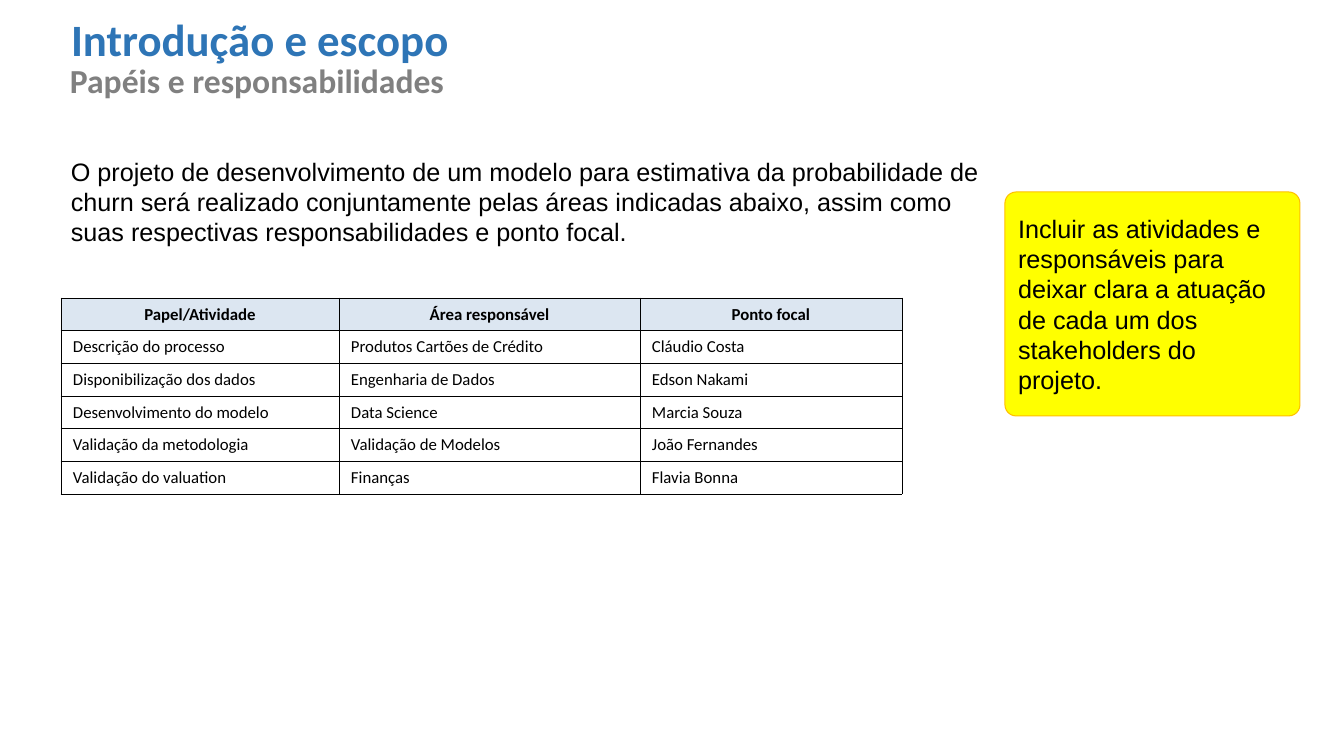
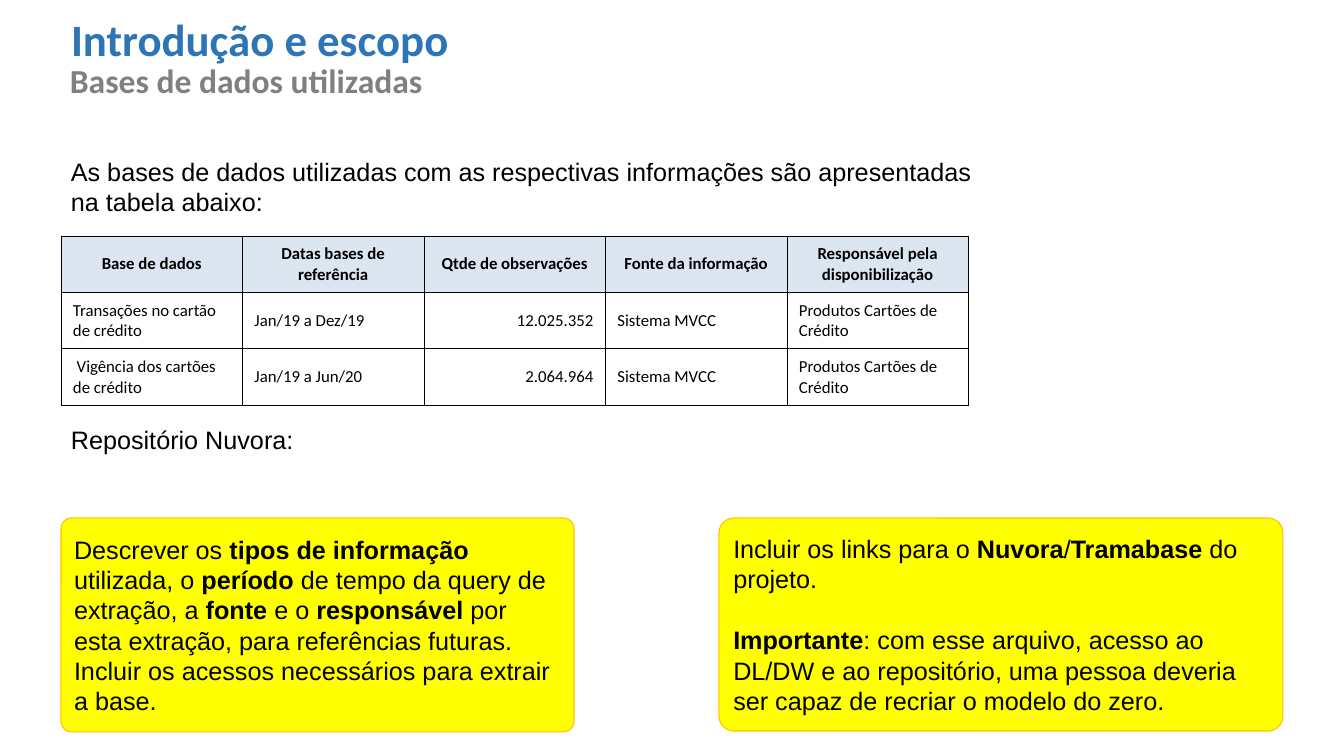
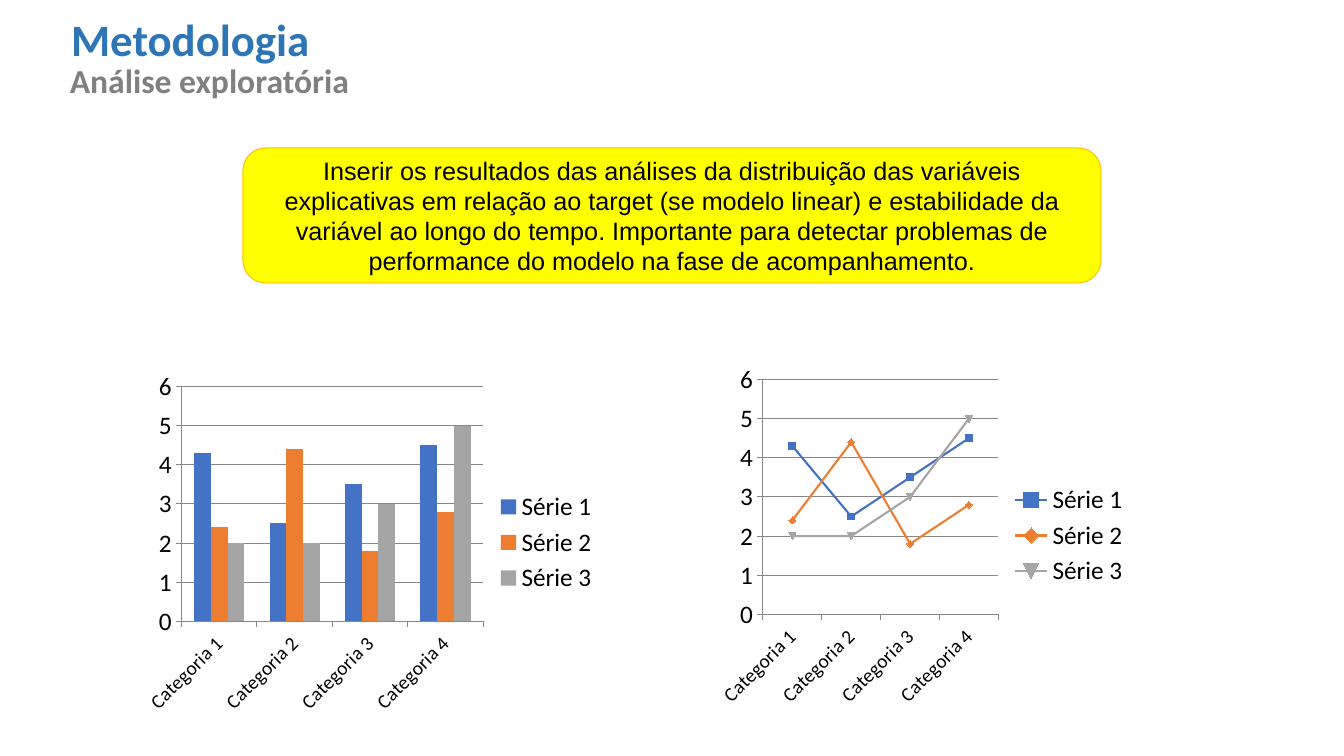
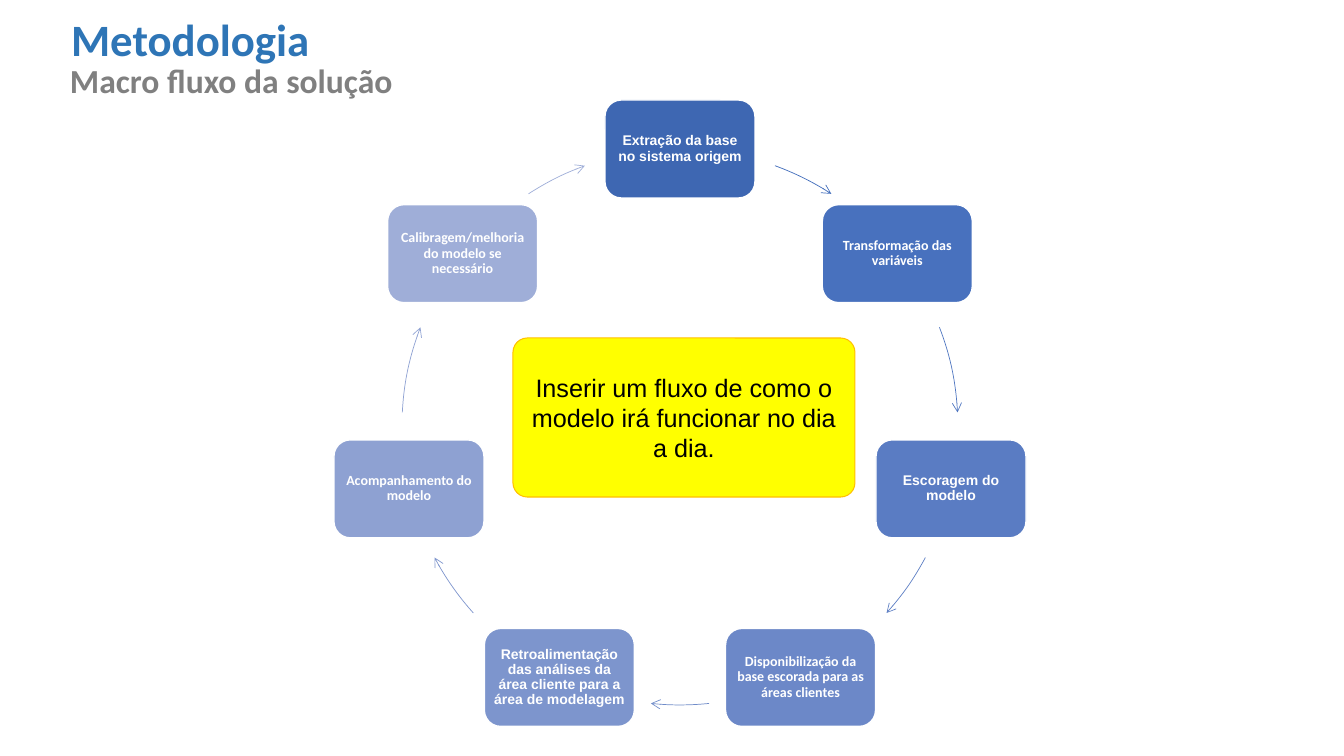
from math import cos, radians, sin

from lxml import etree
from pptx import Presentation
from pptx.chart.data import CategoryChartData
from pptx.dml.color import RGBColor
from pptx.enum.chart import XL_CHART_TYPE, XL_LEGEND_POSITION
from pptx.enum.shapes import MSO_SHAPE
from pptx.enum.text import MSO_ANCHOR, MSO_AUTO_SIZE, PP_ALIGN
from pptx.oxml import parse_xml
from pptx.oxml.ns import nsdecls, qn
from pptx.util import Pt

SCALE = 914400 / 100.8
LEFT, CENTER, RIGHT = PP_ALIGN.LEFT, PP_ALIGN.CENTER, PP_ALIGN.RIGHT
TOP, MIDDLE = MSO_ANCHOR.TOP, MSO_ANCHOR.MIDDLE
ROUNDED, ARC = MSO_SHAPE.ROUNDED_RECTANGLE, MSO_SHAPE.ARC
COLUMNS, LINES = XL_CHART_TYPE.COLUMN_CLUSTERED, XL_CHART_TYPE.LINE_MARKERS

BLACK = RGBColor(0x00, 0x00, 0x00)
WHITE = RGBColor(0xFF, 0xFF, 0xFF)
TITLE_BLUE = RGBColor(0x2E, 0x75, 0xB6)
SUBTITLE_GRAY = RGBColor(0x80, 0x80, 0x80)
HEADER_FILL = RGBColor(0xDC, 0xE6, 0xF1)
YELLOW = RGBColor(0xFF, 0xFF, 0x00)
AMBER = RGBColor(0xFF, 0xC0, 0x00)
AXIS_GRAY = RGBColor(0x87, 0x87, 0x87)
SERIES_COLORS = [
    RGBColor(0x44, 0x72, 0xC4),
    RGBColor(0xED, 0x7D, 0x31),
    RGBColor(0xA5, 0xA5, 0xA5),
]


def px(*lengths):
    return [round(length * SCALE) for length in lengths]


def write(text_frame, text, font, size, color, bold=False, align=LEFT):
    for number, line in enumerate(text.split("\n")):
        paragraph = text_frame.add_paragraph() if number else text_frame.paragraphs[0]
        paragraph.alignment = align
        for index, part in enumerate(line.split("*")):
            if not part:
                continue
            run = paragraph.add_run()
            run.text = part
            run.font.name = font
            run.font.size = Pt(size)
            run.font.color.rgb = color
            run.font.bold = bold or index % 2 == 1


presentation = Presentation()
presentation.slide_width, presentation.slide_height = px(1344, 756)
title_only = presentation.slide_layouts[5]

headings = [
    ("Introdução e escopo", 401, "Papéis e responsabilidades", 398),
    ("Introdução e escopo", 401, "Bases de dados utilizadas", 377),
    ("Metodologia", 261, "Análise exploratória", 302),
    ("Metodologia", 261, "Macro fluxo da solução", 346),
]
slides = []
for title_text, title_width, subtitle_text, subtitle_width in headings:
    slide = presentation.slides.add_slide(title_only)
    slides.append(slide)
    title = slide.shapes.title
    title.left, title.top, title.width, title.height = px(61, 7, title_width, 65)
    subtitle = slide.shapes.add_textbox(*px(60, 55, subtitle_width, 50))
    for shape, text, size, color in [
        (title, title_text, 32, TITLE_BLUE),
        (subtitle, subtitle_text, 24, SUBTITLE_GRAY),
    ]:
        text_frame = shape.text_frame
        text_frame.word_wrap = False
        text_frame.auto_size = MSO_AUTO_SIZE.NONE
        text_frame.vertical_anchor = TOP
        write(text_frame, text, "Calibri", size, color, bold=True)
roles_slide, data_slide, analysis_slide, flow_slide = slides

introductions = [
    (roles_slide, 151, 102,
     "O projeto de desenvolvimento de um modelo para estimativa da probabilidade de churn "
     "será realizado conjuntamente pelas áreas indicadas abaixo, assim como suas "
     "respectivas responsabilidades e ponto focal."),
    (data_slide, 151, 72,
     "As bases de dados utilizadas com as respectivas informações são apresentadas na "
     "tabela abaixo:"),
    (data_slide, 419, 40, "Repositório Nuvora:"),
]
for slide, top, height, text in introductions:
    text_box = slide.shapes.add_textbox(*px(61, top, 928, height))
    text_box.text_frame.word_wrap = True
    write(text_box.text_frame, text, "Arial", 18, BLACK)

role_rows = [
    ["Papel/Atividade", "Área responsável", "Ponto focal"],
    ["Descrição do processo", "Produtos Cartões de Crédito", "Cláudio Costa"],
    ["Disponibilização dos dados", "Engenharia de Dados", "Edson Nakami"],
    ["Desenvolvimento do modelo", "Data Science", "Marcia Souza"],
    ["Validação da metodologia", "Validação de Modelos", "João Fernandes"],
    ["Validação do valuation", "Finanças", "Flavia Bonna"],
]
data_rows = [
    ["Base de dados", "Datas bases de referência", "Qtde de observações",
     "Fonte da informação", "Responsável pela disponibilização"],
    ["Transações no cartão de crédito", "Jan/19 a Dez/19", "12.025.352",
     "Sistema MVCC", "Produtos Cartões de Crédito"],
    ["\u00a0Vigência dos cartões de crédito", "Jan/19 a Jun/20", "2.064.964",
     "Sistema MVCC", "Produtos Cartões de Crédito"],
]
tables = [
    (roles_slide, role_rows, 298, 196, [278, 301, 262], 4, None),
    (data_slide, data_rows, 236, 169, [181.5] * 5, 8, 2),
]
for slide, rows, top, height, widths, padding, number_column in tables:
    frame = slide.shapes.add_table(
        len(rows), len(widths), *px(61, top, sum(widths), height))
    table = frame.table
    table.first_row = table.horz_banding = False
    for column, width in zip(table.columns, px(*widths)):
        column.width = width
    for row_index, row in enumerate(rows):
        header = row_index == 0
        for column_index, text in enumerate(row):
            cell = table.cell(row_index, column_index)
            cell.vertical_anchor = MIDDLE
            cell.margin_left, cell.margin_right = px(12, 12)
            cell.margin_top, cell.margin_bottom = px(padding, padding)
            align = CENTER if header else RIGHT if column_index == number_column else LEFT
            write(cell.text_frame, text, "Calibri", 12, BLACK, header, align)
            properties = cell._tc.get_or_add_tcPr()
            for side in ("lnL", "lnR", "lnT", "lnB"):
                properties.append(parse_xml(
                    f'<a:{side} {nsdecls("a")} w="{Pt(0.5)}"><a:solidFill>'
                    f'<a:srgbClr val="{BLACK}"/></a:solidFill></a:{side}>'))
            if header:
                cell.fill.solid()
                cell.fill.fore_color.rgb = HEADER_FILL
            else:
                cell.fill.background()

chart_data = CategoryChartData()
chart_data.categories = [f"Categoria {number}" for number in range(1, 5)]
chart_data.add_series("Série 1", (4.3, 2.5, 3.5, 4.5))
chart_data.add_series("Série 2", (2.4, 4.4, 1.8, 2.8))
chart_data.add_series("Série 3", (2, 2, 3, 5))
for chart_type, left, top, width in [(COLUMNS, 136, 364, 472), (LINES, 710, 357, 429)]:
    frame = analysis_slide.shapes.add_chart(
        chart_type, *px(left, top, width, 357), chart_data)
    chart = frame.chart
    chart.has_title = False
    chart.font.name = "Calibri"
    chart.font.size = Pt(18)
    chart.font.color.rgb = BLACK
    chart.has_legend = True
    chart.legend.position = XL_LEGEND_POSITION.RIGHT
    chart.legend.include_in_layout = False
    chart.category_axis.tick_labels.font.size = Pt(14)
    value_axis = chart.value_axis
    value_axis.minimum_scale, value_axis.maximum_scale, value_axis.major_unit = 0, 6, 1
    value_axis.has_major_gridlines = True
    for line_owner in (chart.category_axis, value_axis, value_axis.major_gridlines):
        line_owner.format.line.color.rgb = AXIS_GRAY
        line_owner.format.line.width = Pt(0.75)
    plot = chart.plots[0]
    plot.vary_by_categories = False
    if chart_type == COLUMNS:
        plot.gap_width = 150
    for series, color in zip(plot.series, SERIES_COLORS):
        if chart_type == COLUMNS:
            series.format.fill.solid()
            series.format.fill.fore_color.rgb = color
        else:
            series.smooth = False
            series.format.line.color.rgb = color
            series.format.line.width = Pt(1.5)
            series.marker.format.fill.solid()
            series.marker.format.fill.fore_color.rgb = color
            series.marker.format.line.color.rgb = color

ring_x, ring_y, radius = 680, 427, 278
node_width, node_height = 150, 98
steps = [
    ("Extração da base no sistema origem", "Arial", "3E67B2", "416DBB", 20, 33),
    ("Transformação das variáveis", "Calibri", "4871BE", "5077C1", 69, 87),
    ("Escoragem do modelo", "Arial", "5A7CC3", "6081C5", 118, 132),
    ("Disponibilização da base escorada para as áreas clientes", "Calibri",
     "6C88C8", "708CC9", 174, 186),
    ("Retroalimentação das análises da área cliente para a área de modelagem", "Arial",
     "7D95CD", "8097CE", 228, 242),
    ("Acompanhamento do modelo", "Calibri", "8EA1D2", "8FA2D3", 273, 291),
    ("Calibragem/melhoria do modelo se necessário", "Calibri",
     "9FAED8", "9EADD8", 327, 340),
]
for index, (text, font, fill, stroke, start, end) in enumerate(steps):
    angle = radians(360 * index / len(steps))
    node = flow_slide.shapes.add_shape(ROUNDED, *px(
        ring_x + radius * sin(angle) - node_width / 2,
        ring_y - radius * cos(angle) - node_height / 2,
        node_width, node_height))
    node.shadow.inherit = False
    node.fill.solid()
    node.fill.fore_color.rgb = RGBColor.from_string(fill)
    node.line.color.rgb = WHITE
    node.line.width = Pt(1)
    text_frame = node.text_frame
    text_frame.margin_left, text_frame.margin_right = px(4, 4)
    text_frame.margin_top, text_frame.margin_bottom = px(4, 4)
    write(text_frame, text, font, 10, WHITE, bold=True, align=CENTER)
    text_frame.paragraphs[0].line_spacing = 0.9

    arrow = flow_slide.shapes.add_shape(ARC, *px(
        ring_x - radius, ring_y - radius, 2 * radius, 2 * radius))
    for position, degree in enumerate((start, end)):
        arrow.adjustments[position] = (degree - 90) % 360 * 0.6
    arrow.shadow.inherit = False
    arrow.fill.background()
    arrow.line.color.rgb = RGBColor.from_string(stroke)
    arrow.line.width = Pt(0.5)
    etree.SubElement(arrow.line._get_or_add_ln(), qn("a:tailEnd"), type="arrow")

callouts = [
    (roles_slide, (1005, 192, 295, 224), 0.05, LEFT,
     "Incluir as atividades e responsáveis para deixar clara a atuação de cada um dos "
     "stakeholders do projeto."),
    (data_slide, (719, 518, 564, 213), 0.07, LEFT,
     "Incluir os links para o *Nuvora*/*Tramabase* do projeto.\n"
     "*Importante*: com esse arquivo, acesso ao DL/DW e ao repositório, uma pessoa "
     "deveria ser capaz de recriar o modelo do zero."),
    (data_slide, (61, 518, 513, 214), 0.05, LEFT,
     "Descrever os *tipos de informação *utilizada, o *período* de tempo da query de "
     "extração, a *fonte* e o *responsável* por esta extração, para referências futuras. "
     "Incluir os acessos necessários para extrair a base."),
    (analysis_slide, (243, 148, 858, 135), 0.17, CENTER,
     "Inserir os resultados das análises da distribuição das variáveis explicativas em "
     "relação ao target (se modelo linear) e estabilidade da variável ao longo do tempo. "
     "Importante para detectar problemas de performance do modelo na fase de "
     "acompanhamento."),
    (flow_slide, (513, 338, 342, 159), 0.09, CENTER,
     "Inserir um fluxo de como o modelo irá funcionar no dia a dia."),
]
for slide, box, corner, align, text in callouts:
    callout = slide.shapes.add_shape(ROUNDED, *px(*box))
    callout.adjustments[0] = corner
    callout.shadow.inherit = False
    callout.fill.solid()
    callout.fill.fore_color.rgb = YELLOW
    callout.line.color.rgb = AMBER
    callout.line.width = Pt(0.75)
    write(callout.text_frame, text, "Arial", 18, BLACK, align=align)
    for paragraph in callout.text_frame.paragraphs[1:]:
        paragraph.space_before = Pt(22)

presentation.save("out.pptx")
